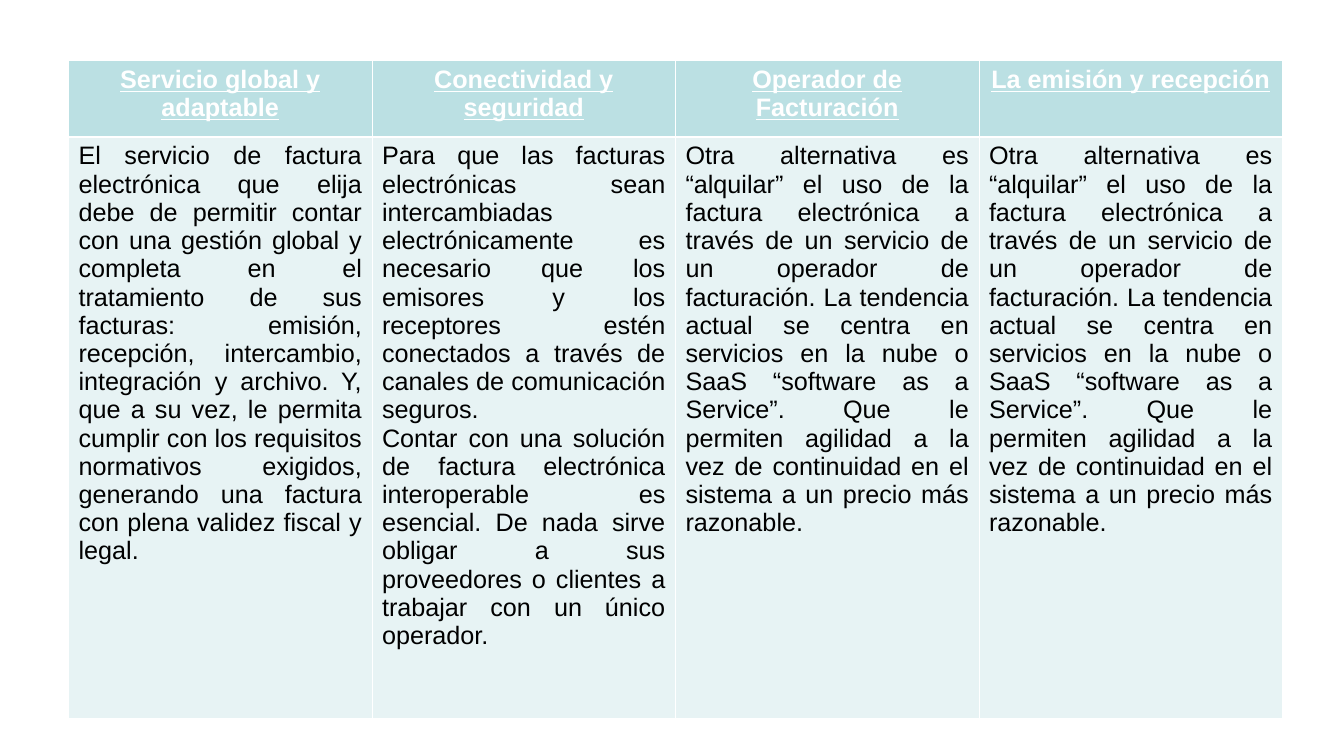
from lxml import etree
from pptx import Presentation
from pptx import util as u
from pptx.dml.color import RGBColor
from pptx.enum import text
from pptx.oxml.ns import qn

COLORS = {"header": "BBE0E3", "body": "E7F3F4", "line": "FFFFFF",
          "header_text": "FFFFFF", "body_text": "000000"}
THIN, THICK = 0.45, 1.47

OPERATOR = ("Otra alternativa es “alquilar” el uso de la factura electrónica a través de un "
            "servicio de un operador de facturación. La tendencia actual se centra en servicios "
            "en la nube o SaaS “software as a Service”. Que le permiten agilidad a la vez de "
            "continuidad en el sistema a un precio más razonable.")
COLUMNS = [
    ("Servicio global y adaptable", [
        "El servicio de factura electrónica que elija debe de permitir contar con una gestión "
        "global y completa en el tratamiento de sus facturas: emisión, recepción, intercambio, "
        "integración y archivo. Y, que a su vez, le permita cumplir con los requisitos "
        "normativos exigidos, generando una factura con plena validez fiscal y legal."]),
    ("Conectividad y seguridad", [
        "Para que las facturas electrónicas sean intercambiadas electrónicamente es necesario "
        "que los emisores y los receptores estén conectados a través de canales de "
        "comunicación seguros.",
        "Contar con una solución de factura electrónica interoperable es esencial. De nada "
        "sirve obligar a sus proveedores o clientes a trabajar con un único operador."]),
    ("Operador de Facturación", [OPERATOR]),
    ("La emisión y recepción", [OPERATOR]),
]


def set_borders(cell, top, bottom):
    """Draw the four cell borders; the sides are always thin."""
    tc_pr = cell._tc.get_or_add_tcPr()
    for side, width in (("L", THIN), ("R", THIN), ("T", top), ("B", bottom)):
        line = etree.SubElement(tc_pr, qn(f"a:ln{side}"), w=str(u.Pt(width)))
        fill = etree.SubElement(line, qn("a:solidFill"))
        etree.SubElement(fill, qn("a:srgbClr"), val=COLORS["line"])


def fill_cell(cell, paragraphs, is_header):
    kind = "header" if is_header else "body"
    set_borders(cell, *((THIN, THICK) if is_header else (THICK, THIN)))
    cell.fill.solid()
    cell.fill.fore_color.rgb = RGBColor.from_string(COLORS[kind])
    tf = cell.text_frame
    tf.text = "\n".join(paragraphs)
    for p in tf.paragraphs:
        p.alignment = text.PP_ALIGN.CENTER if is_header else text.PP_ALIGN.JUSTIFY
        for r in p.runs:
            r.font.name = "Arial"
            r.font.size = u.Pt(18)
            r.font.bold = r.font.underline = is_header
            r.font.color.rgb = RGBColor.from_string(COLORS[f"{kind}_text"])


def add_services_table(slide, left, top, width, height):
    table = slide.shapes.add_table(2, len(COLUMNS), left, top, width, height).table
    header_height = u.Inches(0.76)
    table.rows[0].height = header_height
    table.rows[1].height = height - header_height
    for i, (heading, body) in enumerate(COLUMNS):
        table.columns[i].width = width // len(COLUMNS)
        fill_cell(table.cell(0, i), [heading], True)
        fill_cell(table.cell(1, i), body, False)


def main():
    prs = Presentation()
    prs.slide_width, prs.slide_height = u.Inches(13.34), u.Inches(7.5)
    slide = prs.slides.add_slide(prs.slide_layouts[6])
    add_services_table(slide, u.Inches(0.68), u.Inches(0.6), u.Inches(12.05), u.Inches(6.53))
    prs.save("out.pptx")


if __name__ == "__main__":
    main()
